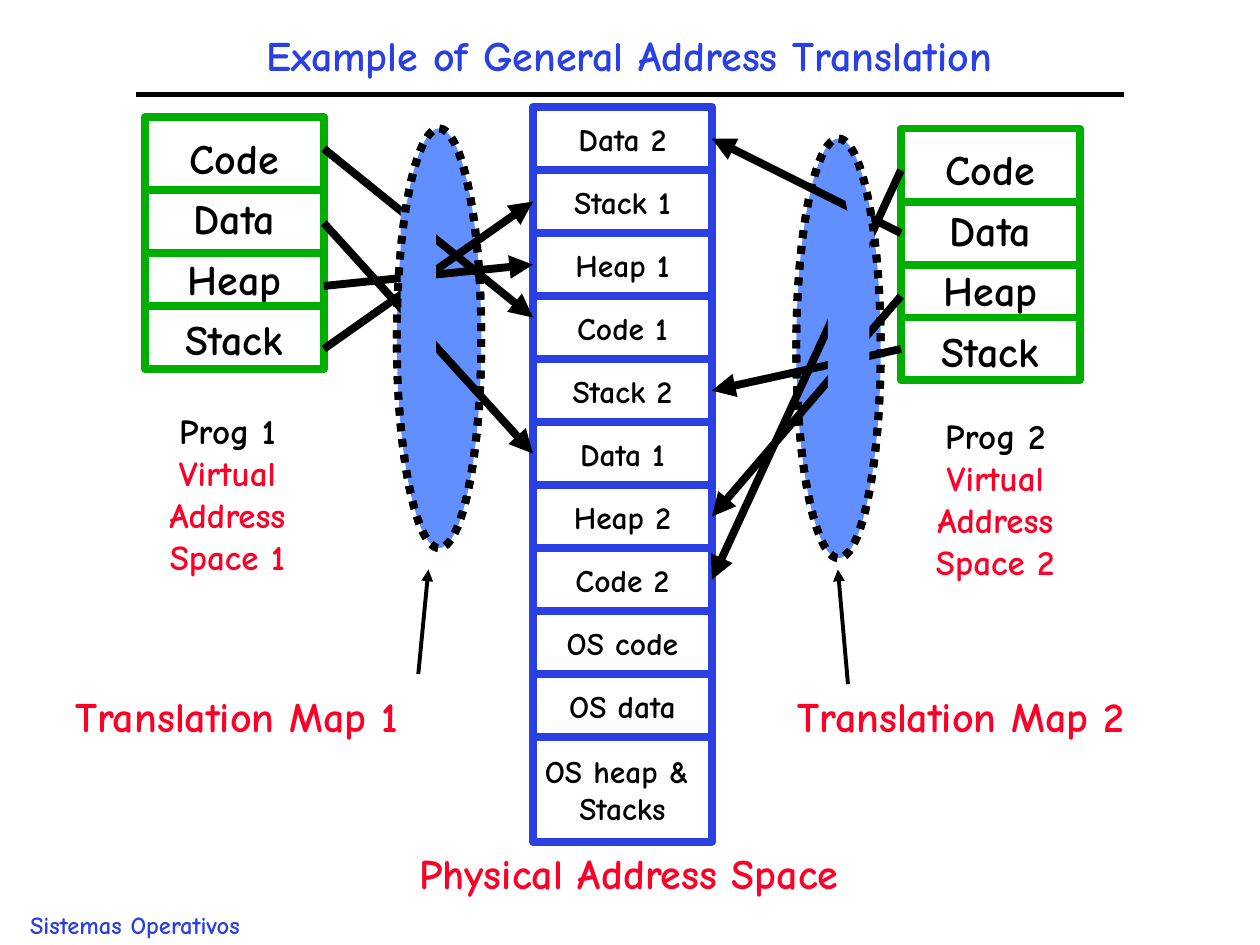
from lxml.etree import SubElement
from pptx import Presentation
from pptx.dml.color import RGBColor
from pptx.enum.dml import MSO_LINE_DASH_STYLE as Dash
from pptx.enum.shapes import MSO_CONNECTOR as Connector, MSO_SHAPE as Shape
from pptx.enum.text import MSO_ANCHOR as Anchor, MSO_AUTO_SIZE as AutoSize, PP_ALIGN as Align
from pptx.oxml.ns import qn
from pptx.util import Inches, Pt

FONT = "Comic Neue"
BLACK = RGBColor(0x00, 0x00, 0x00)
WHITE = RGBColor(0xFF, 0xFF, 0xFF)
BLUE = RGBColor(0x2A, 0x40, 0xE2)
SKY = RGBColor(0x61, 0x8F, 0xFD)
GREEN = RGBColor(0x00, 0xAE, 0x00)
RED = RGBColor(0xFC, 0x01, 0x28)

# Grid in inches: three columns of equal width, memory rows of equal height
COLUMN = 1.42
ROW = 0.5
MEMORY_LEFT, MEMORY_TOP = 4.23, 0.85
MEMORY_RIGHT = MEMORY_LEFT + COLUMN
PROG_1_LEFT, PROG_2_LEFT = 1.15, 7.15
PROG_1_RIGHT = PROG_1_LEFT + COLUMN
THICK = 4.5

deck = Presentation()
deck.slide_width, deck.slide_height = Inches(10), Inches(7.5)
page = deck.slides.add_slide(deck.slide_layouts[5])


def draw(text, place, box=None, kind=None, fill=None, line=None, dash=None,
         size=24, color=BLACK, first_color=None, align=Align.LEFT, spacing=None):
    """Place a text box, a preset shape or a given placeholder and fill in its text."""
    place = [Inches(length) for length in place]
    if kind is not None:
        box = page.shapes.add_shape(kind, *place)
        box.shadow.inherit = False
        if fill is None:
            box.fill.background()
        else:
            box.fill.solid()
            box.fill.fore_color.rgb = fill
        if line is None:
            box.line.fill.background()
        else:
            box.line.color.rgb = line
            box.line.width = Pt(THICK)
            if dash is not None:
                box.line.dash_style = dash
    elif box is None:
        box = page.shapes.add_textbox(*place)
        box.text_frame.auto_size = AutoSize.SHAPE_TO_FIT_TEXT
    else:
        box.left, box.top, box.width, box.height = place
        box.text_frame.vertical_anchor = Anchor.MIDDLE
    if text:
        frame = box.text_frame
        frame.word_wrap = box.is_placeholder
        if kind is not None:
            frame.vertical_anchor = Anchor.MIDDLE
        for index, words in enumerate(text.split("\n")):
            para = frame.paragraphs[0] if index == 0 else frame.add_paragraph()
            para.alignment = align
            if spacing:
                para.line_spacing = spacing
            span = para.add_run()
            span.text = words
            span.font.name, span.font.size, span.font.bold = FONT, Pt(size), True
            span.font.color.rgb = first_color if first_color is not None and index == 0 else color
    return box


def connect(start, end, color=BLACK, width=THICK, arrow=False):
    """Draw a straight line, with an arrowhead at its end if asked for."""
    line = page.shapes.add_connector(
        Connector.STRAIGHT, *[Inches(length) for length in (*start, *end)])
    line.line.color.rgb = color
    line.line.width = Pt(width)
    outline = line.line._get_or_add_ln()
    if arrow:
        SubElement(outline, qn("a:tailEnd"), type="triangle")
    SubElement(outline.getparent(), qn("a:effectLst"))


# Title, rule and footer
draw("Example of General Address Translation", (1.08, 0.17, 7.83, 0.58),
     box=page.shapes.title, color=BLUE, align=Align.CENTER, spacing=0.9)
connect((1.08, 0.75), (8.92, 0.75), width=3)
draw("Sistemas Operativos", (0.14, 7.17, 1.88, 0.33), size=14, color=BLUE)

# Translation maps, behind the arrows
maps = [(3.15, 1.02, 0.67, 3.33), (6.32, 1.1, 0.67, 3.33)]
for place in maps:
    draw("", place, kind=Shape.OVAL, fill=SKY, line=BLACK, dash=Dash.ROUND_DOT)

# Virtual address spaces with their captions
programs = [(1, PROG_1_LEFT, 0.93, (1.24, 3.2, 1.13, 1.43)),
            (2, PROG_2_LEFT, 1.02, (7.33, 3.24, 1.14, 1.43))]
for number, left, top, caption in programs:
    draw(f"Prog {number}\nVirtual\nAddress\nSpace {number}", caption, size=20,
         color=RED, first_color=BLACK, align=Align.CENTER)
    draw("Code\nData\nHeap\nStack", (left, top, COLUMN, 4 * ROW), kind=Shape.RECTANGLE,
         fill=WHITE, line=GREEN, align=Align.CENTER, spacing=1.2)
    for offset in (0.58, 1.08, 1.5):
        connect((left, top + offset), (left + COLUMN, top + offset), color=GREEN)

# Physical memory
slots = ["Data 2", "Stack 1", "Heap 1", "Code 1", "Stack 2", "Data 1",
         "Heap 2", "Code 2", "OS code", "OS data", "OS heap & \nStacks"]
for index, name in enumerate(slots):
    height = 0.83 if "\n" in name else ROW
    draw(name, (MEMORY_LEFT, MEMORY_TOP + index * ROW, COLUMN, height),
         kind=Shape.RECTANGLE, fill=WHITE, line=BLUE, size=18, align=Align.CENTER)

# Arrows from each program part to the middle of its memory slot
mappings = [
    (PROG_1_RIGHT, MEMORY_LEFT,
     [(1.18, "Code 1"), (1.77, "Data 1"), (2.27, "Heap 1"), (2.77, "Stack 1")]),
    (PROG_2_LEFT, MEMORY_RIGHT,
     [(1.35, "Code 2"), (1.85, "Data 2"), (2.35, "Heap 2"), (2.77, "Stack 2")]),
]
for start, end, parts in mappings:
    for top, name in parts:
        nudge = -0.08 if name == "Code 1" else 0
        middle = MEMORY_TOP + (slots.index(name) + 0.5) * ROW + nudge
        connect((start, top), (end, middle), arrow=True)

# Patches that hide the arrows inside the maps, then the outlines again
patches = [((3.18, 1.67, 0.28, 1.5), 0), ((6.57, 1.85, 0.33, 1.58), 0),
           ((6.73, 1.43, 0.17, 0.5), 348.5)]
for place, angle in patches:
    draw("", place, kind=Shape.RECTANGLE, fill=SKY).rotation = angle
for place in maps:
    draw("", place, kind=Shape.OVAL, line=BLACK, dash=Dash.ROUND_DOT)

# Red labels and their pointers
labels = [("Translation Map 1", (0.5, 5.43, 2.77, 0.5)),
          ("Translation Map 2", (6.23, 5.43, 2.81, 0.5)),
          ("Physical Address Space", (3.23, 6.68, 3.54, 0.5))]
for text, place in labels:
    draw(text, place, color=RED)
for start, end in [((3.32, 5.35), (3.4, 4.52)), ((6.73, 5.43), (6.65, 4.52))]:
    connect(start, end, width=2.25, arrow=True)

deck.save("out.pptx")
